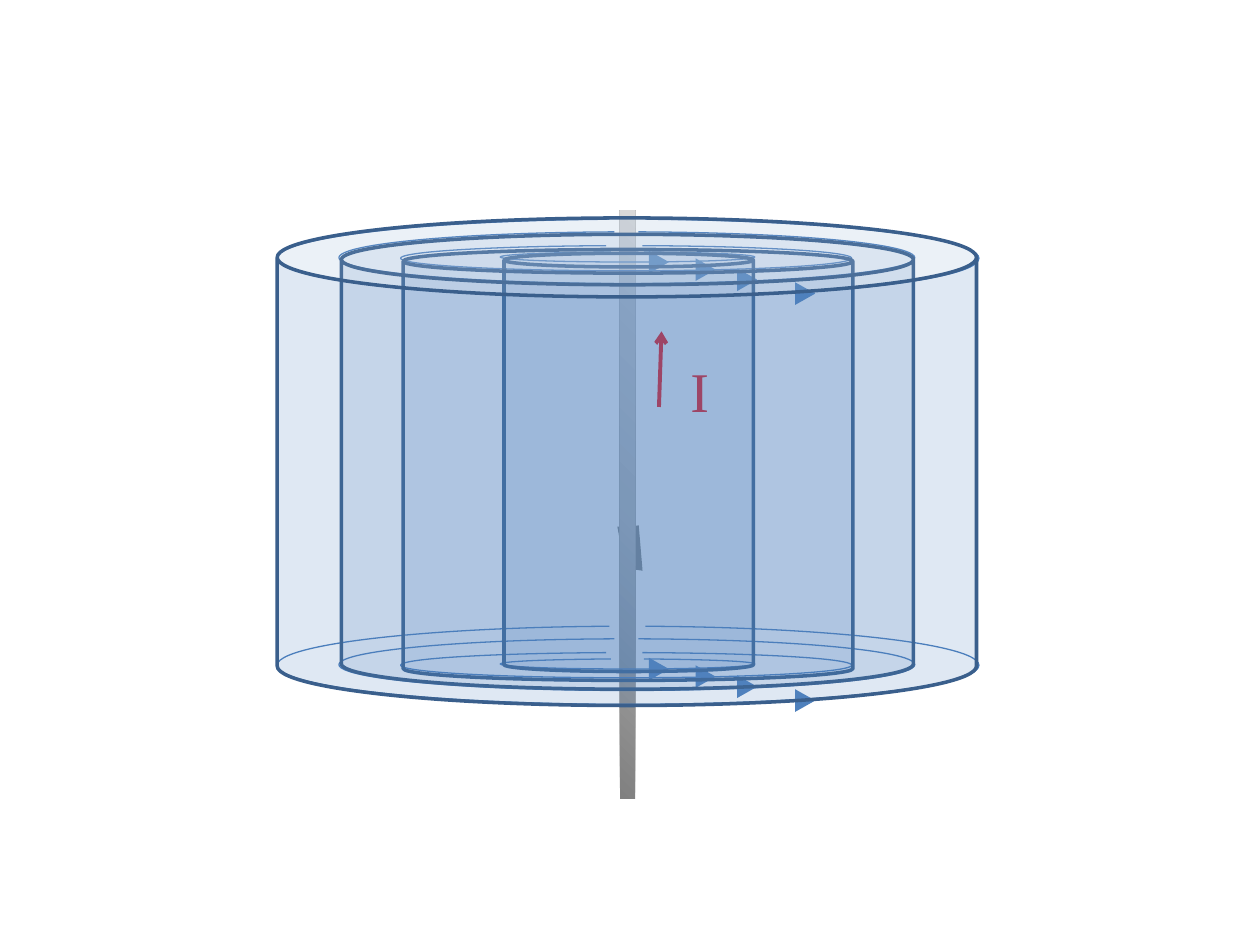
from copy import deepcopy

from lxml import etree
from pptx import Presentation
from pptx.dml.color import RGBColor
from pptx.enum.shapes import MSO_CONNECTOR, MSO_SHAPE
from pptx.enum.text import MSO_AUTO_SIZE
from pptx.oxml.ns import qn
from pptx.util import Inches, Pt

ARC, CAN, RECTANGLE = MSO_SHAPE.ARC, MSO_SHAPE.CAN, MSO_SHAPE.RECTANGLE
TRIANGLE = MSO_SHAPE.ISOSCELES_TRIANGLE
STRAIGHT = MSO_CONNECTOR.STRAIGHT
BLUE, ARC_BLUE, EDGE_BLUE = "4F81BD", "4B7EBC", "3A5F8C"
RED, GRAY = "FF0000", "808080"

# Offset from the corner of the widest ring, size, start and end angle in degrees
FIELD_LINES = [
    (0.49, 0.10, 4.57, 0.41, 293.98, 244.31),
    (0.98, 0.21, 3.58, 0.20, 322.32, 212.16),
    (0, 0, 5.57, 0.62, 293.98, 244.31),
    (1.77, 0.26, 2.02, 0.08, 343.07, 196.74),
]
ARROWHEADS = [(2.94, 0.26), (3.31, 0.32), (3.64, 0.40), (4.10, 0.51)]
# Box and cap ratio, from the inside out
CYLINDERS = [
    ((4.00, 2.01, 1.98, 3.32), 0.055),
    ((3.20, 1.98, 3.57, 3.42), 0.055),
    ((2.71, 1.86, 4.54, 3.61), 0.111),
    ((2.20, 1.73, 5.55, 3.87), 0.162),
]


def color(value):
    return RGBColor.from_string(value)


def set_fill(shape, value, opacity=None):
    shape.fill.solid()
    shape.fill.fore_color.rgb = color(value)
    if opacity is not None:
        tint = shape._element.spPr.find(qn("a:solidFill"))[0]
        etree.SubElement(tint, qn("a:alpha")).set("val", str(opacity * 1000))


def set_line(shape, value, width):
    shape.line.color.rgb = color(value)
    shape.line.width = Pt(width)


def add_shape(shapes, kind, box):
    """Add a preset shape with no shadow, fill or line."""
    shape = shapes.add_shape(kind, *map(Inches, box))
    shape.shadow.inherit = False
    shape.fill.background()
    shape.line.fill.background()
    return shape


def add_text(page, box, text, size, font, ink):
    frame = page.shapes.add_textbox(*map(Inches, box)).text_frame
    frame.word_wrap = False
    frame.auto_size = MSO_AUTO_SIZE.SHAPE_TO_FIT_TEXT
    span = frame.paragraphs[0].add_run()
    span.text = text
    span.font.size = Pt(size)
    span.font.name = font
    span.font.color.rgb = color(ink)


def add_current(page, left, top):
    """Add the upward arrow and its label."""
    arrow = page.shapes.add_connector(
        STRAIGHT, Inches(left), Inches(top + 0.6), Inches(left + 0.02), Inches(top))
    set_line(arrow, RED, 2.25)
    etree.SubElement(arrow.line._get_or_add_ln(), qn("a:tailEnd")).set("type", "arrow")
    etree.SubElement(arrow._element.spPr, qn("a:effectLst"))
    add_text(page, (left + 0.15, top + 0.15, 0.35, 0.64), text="I", size=32,
             font="Times New Roman", ink=RED)


def add_shard(page, left, top):
    """Add the small gray piece behind the wire."""
    outline = [(0.20, 0.36), (0.06, 0.34), (0, 0.01), (0.08, 0.01), (0.17, 0)]
    points = [(Inches(left + x), Inches(top + y)) for x, y in outline]
    builder = page.shapes.build_freeform(*points[0], scale=1.0)
    builder.add_line_segments(points[1:], close=True)
    shard = builder.convert_to_shape()
    shard.shadow.inherit = False
    set_fill(shard, GRAY)
    shard.line.fill.background()


def add_wire(page, box):
    wire = add_shape(page.shapes, RECTANGLE, box)
    wire.fill.gradient()
    wire.fill.gradient_angle = 45
    stop_list = wire._element.spPr.find(".//" + qn("a:gsLst"))
    stop_list.append(deepcopy(stop_list[0]))
    shades = [(0, GRAY), (0.5, "B7B7B7"), (1, "D9D9D9")]
    for stop, (position, shade) in zip(wire.fill.gradient_stops, shades):
        stop.position = position
        stop.color.rgb = color(shade)


def add_field(page, left, top):
    """Add one group of circular field lines with their arrowheads."""
    group = page.shapes.add_group_shape()
    for x, y, width, height, start, end in FIELD_LINES:
        ring = add_shape(group.shapes, ARC, (left + x, top + y, width, height))
        # Arc angles are stored in 60000ths of a degree
        ring.adjustments[0] = start * 0.6
        ring.adjustments[1] = end * 0.6
        set_line(ring, ARC_BLUE, 0.75)
    for x, y in ARROWHEADS:
        head = add_shape(group.shapes, TRIANGLE, (left + x, top + y, 0.18, 0.16))
        head.rotation = 90
        set_fill(head, BLUE)


def add_cylinder(page, box, cap):
    cylinder = add_shape(page.shapes, CAN, box)
    cylinder.adjustments[0] = cap
    set_fill(cylinder, BLUE, opacity=18)
    set_line(cylinder, EDGE_BLUE, 2)


def main():
    deck = Presentation()
    deck.slide_width, deck.slide_height = Inches(10), Inches(7.5)
    page = deck.slides.add_slide(deck.slide_layouts[6])
    add_current(page, 5.23, 2.63)
    add_shard(page, 4.9, 4.17)
    add_wire(page, (4.92, 1.67, 0.12, 4.67))
    for top in (4.97, 1.74):
        add_field(page, 2.2, top)
    for box, cap in CYLINDERS:
        add_cylinder(page, box, cap)
    deck.save("out.pptx")


if __name__ == "__main__":
    main()
